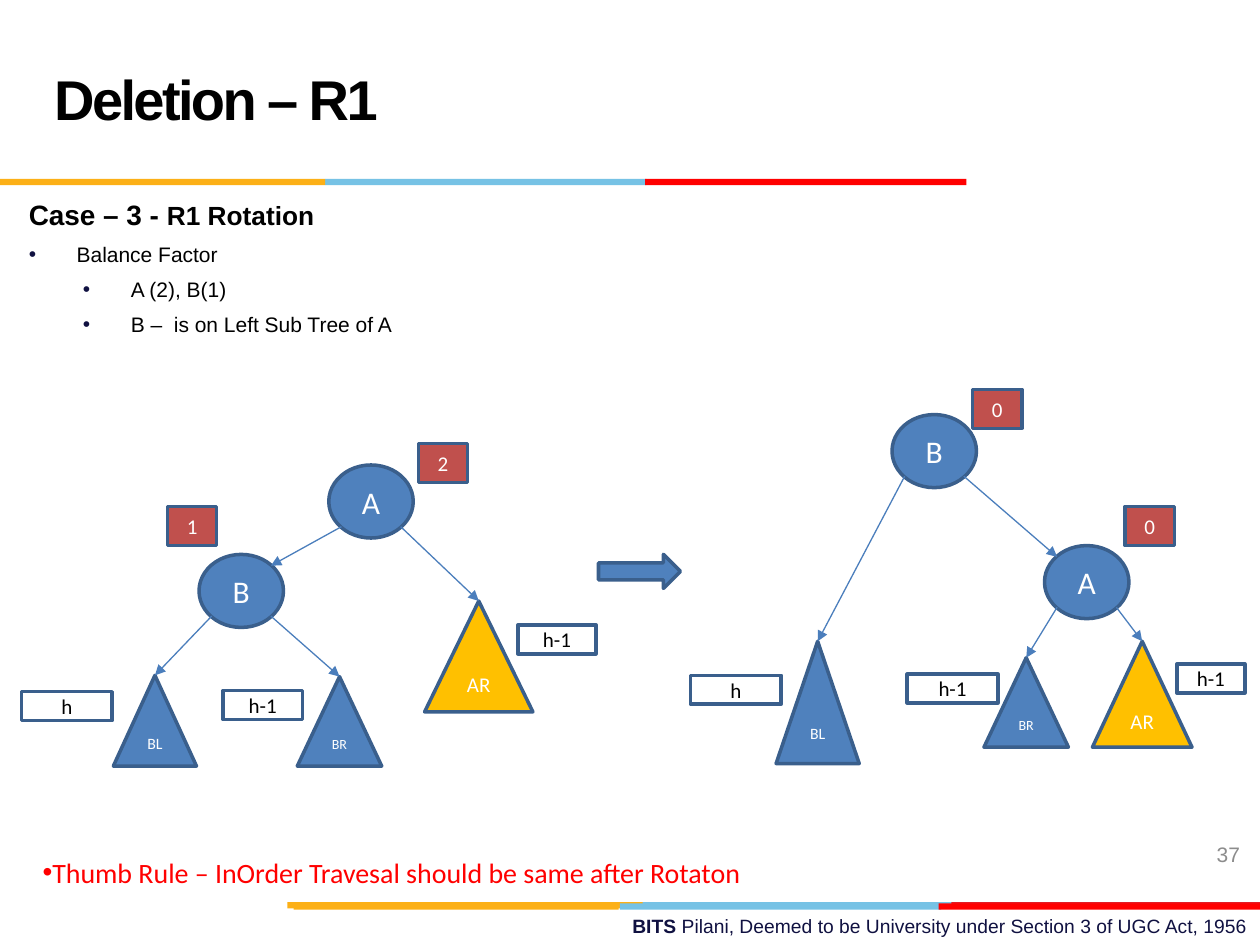
from lxml import etree
from pptx import Presentation
from pptx.dml.color import RGBColor
from pptx.enum.shapes import MSO_CONNECTOR, MSO_SHAPE
from pptx.enum.text import MSO_ANCHOR, PP_ALIGN
from pptx.oxml.ns import qn
from pptx.util import Inches, Pt

OVAL, TRIANGLE = MSO_SHAPE.FLOWCHART_CONNECTOR, MSO_SHAPE.ISOSCELES_TRIANGLE
RECT, ARROW = MSO_SHAPE.RECTANGLE, MSO_SHAPE.RIGHT_ARROW
STRAIGHT = MSO_CONNECTOR.STRAIGHT
MIDDLE, TOP = MSO_ANCHOR.MIDDLE, MSO_ANCHOR.TOP
LEFT, CENTER, RIGHT = PP_ALIGN.LEFT, PP_ALIGN.CENTER, PP_ALIGN.RIGHT

BLACK = RGBColor(0x00, 0x00, 0x00)
WHITE = RGBColor(0xFF, 0xFF, 0xFF)
NAVY = RGBColor(0x10, 0x11, 0x41)
GRAY = RGBColor(0x8C, 0x8C, 0x8C)
RED = RGBColor(0xFF, 0x00, 0x00)
CRIMSON = RGBColor(0xE3, 0x1C, 0x24)
ORANGE = RGBColor(0xFC, 0xB0, 0x17)
SKY = RGBColor(0x76, 0xC2, 0xE5)
BLUE = RGBColor(0x4F, 0x81, 0xBD)
OUTLINE = RGBColor(0x3A, 0x5F, 0x8C)
EDGE = RGBColor(0x4B, 0x7E, 0xBC)
GOLD = RGBColor(0xFF, 0xC0, 0x00)
BRICK = RGBColor(0xC0, 0x50, 0x4D)


def add_run(paragraph, text, size, color, font="Arial", bold=False):
    run = paragraph.add_run()
    run.text = text
    run.font.size = Pt(size)
    run.font.name = font
    run.font.bold = bold
    run.font.color.rgb = color
    return run


def add_block(kind, box, fill, text="", size=12, color=WHITE, outlined=True):
    block = slide.shapes.add_shape(kind, *map(Inches, box))
    block.shadow.inherit = False
    block.fill.solid()
    block.fill.fore_color.rgb = fill
    if outlined:
        block.line.color.rgb = OUTLINE
        block.line.width = Pt(2)
    else:
        block.line.fill.background()
    if text:
        frame = block.text_frame
        frame.margin_left = frame.margin_right = 0
        frame.margin_top = frame.margin_bottom = 0
        frame.word_wrap = False
        frame.vertical_anchor = MIDDLE
        frame.paragraphs[0].alignment = CENTER
        add_run(frame.paragraphs[0], text, size, color, "Calibri")


prs = Presentation()
prs.slide_width, prs.slide_height = Inches(10), Inches(7.5)
slide = prs.slides.add_slide(prs.slide_layouts[5])

bars = [
    (5.06, 7.16, 2.55, SKY), (7.55, 7.16, 2.45, CRIMSON), (2.28, 7.16, 2.82, ORANGE),
    (4.92, 7.17, 2.55, SKY), (2.33, 7.17, 2.58, ORANGE), (7.45, 7.17, 2.55, RED),
    (2.58, 1.42, 2.55, SKY), (0, 1.42, 2.58, ORANGE), (5.12, 1.42, 2.55, RED),
]
for left, top, width, color in bars:
    add_block(RECT, (left, top, width, 0.05), color, outlined=False)

title = slide.shapes.title
title.left, title.top = Inches(0.33), Inches(0.17)
title.width, title.height = Inches(7.17), Inches(1.25)
title.text_frame.vertical_anchor = MIDDLE
heading = title.text_frame.paragraphs[0]
heading.alignment = LEFT
heading.line_spacing = Pt(36)
heading_run = add_run(heading, "Deletion – R1", 32, BLACK, bold=True)
heading_run.font._element.set("spc", "-150")

texts = [
    ((3.58, 7.21, 6.42, 0.29), TOP, [
        (RIGHT, None, [("BITS ", 11, NAVY, "Arial", True),
                       ("Pilani, Deemed to be University under Section 3 of UGC Act, 1956",
                        11, NAVY)])]),
    ((7.61, 6.58, 2.33, 0.4), MIDDLE, [(RIGHT, None, [("37", 12, GRAY)])]),
    ((0.13, 1.52, 5.35, 1.21), TOP, [
        (LEFT, None, [("Case – 3 - ", 16, BLACK, "Arial", True),
                      ("R1 Rotation", 15, BLACK, "Arial", True)]),
        (LEFT, 0.38, [("Balance Factor", 12, BLACK)]),
        (LEFT, 0.81, [("A (2), B(1)", 12, BLACK)]),
        (LEFT, 0.81, [("B –  is on Left Sub Tree of A", 12, BLACK)])]),
    ((0.24, 6.74, 6.76, 0.37), TOP, [
        (LEFT, 0, [("Thumb Rule – InOrder Travesal should be same after Rotaton",
                    16, RED, "Calibri")])]),
]
for box, anchor, paragraphs in texts:
    frame = slide.shapes.add_textbox(*map(Inches, box)).text_frame
    frame.word_wrap = True
    frame.vertical_anchor = anchor
    for index, (alignment, indent, runs) in enumerate(paragraphs):
        paragraph = frame.add_paragraph() if index else frame.paragraphs[0]
        paragraph.alignment = alignment
        if index:
            paragraph.line_spacing = 1.2
            paragraph.space_before = Pt(2.8)
        if indent is not None:
            props = paragraph._p.get_or_add_pPr()
            props.set("marL", str(Inches(indent)))
            props.set("indent", str(-Inches(min(indent, 0.38))))
            if indent:
                bullet_color = etree.SubElement(props, qn("a:buClr"))
                etree.SubElement(bullet_color, qn("a:srgbClr"), val=str(NAVY))
            etree.SubElement(props, qn("a:buFont"), typeface="Arial")
            etree.SubElement(props, qn("a:buChar"), char="•")
        for run in runs:
            add_run(paragraph, *run)

NODE_W, NODE_H = 0.67, 0.58
CORNER_X, CORNER_Y = 0.1, 0.09
before = {
    "A": (2.61, 3.69), "B": (1.58, 4.4),
    "AR": (3.37, 4.77, 0.86, 0.88), "BL": (0.9, 5.36, 0.66, 0.72),
    "BR": (2.36, 5.37, 0.67, 0.71),
}
after = {
    "B": (7.08, 3.29), "A": (8.29, 4.33),
    "AR": (8.67, 5.09, 0.79, 0.84), "BL": (6.16, 5.09, 0.66, 0.97),
    "BR": (7.81, 5.22, 0.67, 0.71),
}
before_edges = ["A B", "A AR", "B BL", "B BR"]
after_edges = ["B BL", "B A", "A BR", "A AR"]
subtree_styles = {"AR": (GOLD, 12), "BL": (BLUE, 9), "BR": (BLUE, 8)}

for tree, edges in ((before, before_edges), (after, after_edges)):
    for name, place in tree.items():
        if name in subtree_styles:
            fill, size = subtree_styles[name]
            add_block(TRIANGLE, place, fill, name, size)
        else:
            add_block(OVAL, (*place, NODE_W, NODE_H), BLUE, name, 18)
    for edge in edges:
        parent, child = (tree[name] for name in edge.split())
        goes_left = child[0] < parent[0]
        start_x = parent[0] + (CORNER_X if goes_left else NODE_W - CORNER_X)
        start_y = parent[1] + NODE_H - CORNER_Y
        if len(child) == 4:
            end_x, end_y = child[0] + child[2] / 2, child[1]
            if end_x < parent[0] + NODE_W / 2:
                start_x = parent[0] + CORNER_X
        else:
            end_x = child[0] + (NODE_W - CORNER_X if goes_left else CORNER_X)
            end_y = child[1] + CORNER_Y
        branch = slide.shapes.add_connector(
            STRAIGHT, *map(Inches, (start_x, start_y, end_x, end_y)))
        branch.line.color.rgb = EDGE
        branch.line.width = Pt(0.75)
        etree.SubElement(branch.line._get_or_add_ln(), qn("a:tailEnd"), type="triangle")
        etree.SubElement(branch._element.spPr, qn("a:effectLst"))

add_block(ARROW, (4.75, 4.4, 0.65, 0.27), BLUE)

heights = [
    (0.17, 5.49, 0.72, "h"), (1.77, 5.48, 0.63, "h-1"), (4.11, 4.96, 0.62, "h-1"),
    (5.48, 5.36, 0.72, "h"), (7.2, 5.35, 0.72, "h-1"), (9.34, 5.27, 0.54, "h-1"),
]
for left, top, width, height_label in heights:
    add_block(RECT, (left, top, width, 0.23), WHITE, height_label, color=BLACK)

balance_factors = [(3.32, 3.52, "2"), (1.33, 4.02, "1"), (7.72, 3.09, "0"), (8.93, 4.02, "0")]
for left, top, factor in balance_factors:
    add_block(RECT, (left, top, 0.39, 0.31), BRICK, factor)

prs.save("out.pptx")
